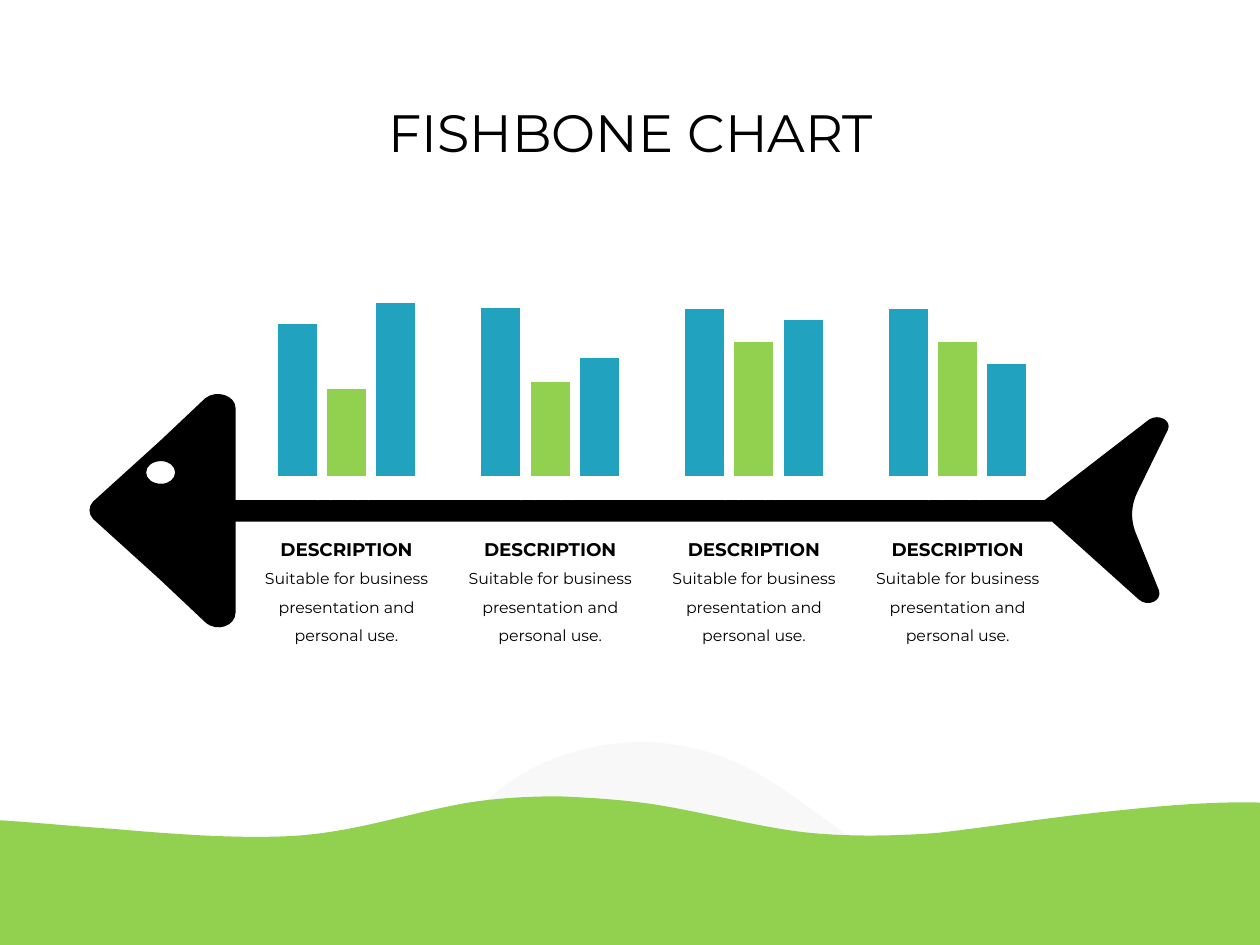
from dataclasses import dataclass

import lxml.etree
import pptx
import pptx.chart.data
import pptx.dml.color
import pptx.enum.chart
import pptx.enum.text
import pptx.oxml
import pptx.oxml.ns
import pptx.util
from pptx.util import Inches


@dataclass(frozen=True)
class Theme:
    font: str = "Montserrat"
    black: str = "000000"
    white: str = "FFFFFF"
    blue: str = "21A2BE"
    green: str = "92D050"
    gray: str = "F2F2F2"
    title_size: float = 30
    heading_size: float = 10.5
    body_size: float = 9
    chart_size: float = 10
    axis_size: float = 12


THEME = Theme()

# Outlines in inches from the corner of their box:
# a pair is a straight side, six numbers are a Bezier curve.
HILL = [[
    (5.03, 0), (5.35, -0.01, 5.69, 0.07, 5.98, 0.23),
    (6.58, 0.56, 7.11, 1.18, 7.85, 1.22), (8.32, 1.24, 8.74, 0.97, 9.2, 0.89),
    (9.48, 0.85, 9.73, 0.88, 9.93, 0.96), (10, 0.99), (10, 1.61), (0, 1.61),
    (0, 1.08), (0.01, 1.07), (0.09, 1.04, 0.18, 1.01, 0.26, 0.99),
    (0.52, 0.93, 0.79, 0.86, 1.05, 0.9), (1.27, 0.92, 1.48, 1.02, 1.69, 1.08),
    (2.22, 1.24, 2.93, 1.29, 3.37, 0.94), (3.56, 0.79, 3.7, 0.6, 3.88, 0.45),
    (4.18, 0.17, 4.6, 0.02, 5.03, 0),
]]
WAVE = [[
    (0, 1.18), (10, 1.18), (10, 0.05), (9.66, 0.04, 9.27, 0.07, 8.9, 0.11),
    (8.36, 0.16, 7.89, 0.24, 7.44, 0.29), (7.06, 0.32, 6.66, 0.32, 6.34, 0.28),
    (5.97, 0.23, 5.64, 0.14, 5.23, 0.07), (4.98, 0.03, 4.7, 0.01, 4.43, 0),
    (4.15, 0, 3.88, 0.02, 3.66, 0.06), (3.19, 0.15, 2.85, 0.27, 2.39, 0.31),
    (1.99, 0.34, 1.48, 0.31, 0.92, 0.26), (0.61, 0.24, 0.31, 0.21, 0, 0.19),
]]
FISH_BODY = [
    (0.04, 0.89), (0.57, 0.41), (0.93, 0.07),
    (1.02, 0, 1.17, 0.05, 1.17, 0.15), (1.17, 0.88), (7.59, 0.88),
    (8.42, 0.24), (8.5, 0.19, 8.6, 0.25, 8.57, 0.32), (8.33, 0.81),
    (8.28, 0.91, 8.27, 1.02, 8.31, 1.13), (8.5, 1.6),
    (8.52, 1.68, 8.41, 1.73, 8.34, 1.67), (7.65, 1.05), (1.17, 1.05),
    (1.17, 1.77), (1.17, 1.88, 1.02, 1.93, 0.93, 1.85), (0.57, 1.51),
    (0.04, 1.03), (0, 0.99, 0, 0.93, 0.04, 0.89),
]
FISH_EYE = [
    (0.58, 0.75), (0.64, 0.75, 0.69, 0.71, 0.69, 0.66),
    (0.69, 0.61, 0.64, 0.57, 0.58, 0.57), (0.51, 0.57, 0.46, 0.61, 0.46, 0.66),
    (0.46, 0.71, 0.51, 0.75, 0.58, 0.75),
]

# Values of the three bars, and the top of the hidden axis
GROUPS = [
    ((88, 50, 100), 100),
    ((100, 56, 70), 103),
    ((100, 80, 93), 103.5),
    ((100, 80, 67), 103.5),
]


def rgb(color):
    return pptx.dml.color.RGBColor.from_string(color)


def add_command(outline, name, numbers=()):
    """Append one drawing command with its points to an outline."""
    command = lxml.etree.SubElement(outline, pptx.oxml.ns.qn(f"a:{name}"))
    for x, y in zip(numbers[::2], numbers[1::2]):
        lxml.etree.SubElement(command, pptx.oxml.ns.qn("a:pt"),
                              x=str(Inches(x)), y=str(Inches(y)))


def add_outline(slide, left, top, width, height, contours, color, opacity=100):
    # The builder sets the box; the contours then replace its sides
    right, bottom = left + width, top + height
    builder = slide.shapes.build_freeform(left, top)
    builder.add_line_segments([(right, top), (right, bottom), (left, bottom)])
    shape = builder.convert_to_shape()
    outline = shape.element.find(".//" + pptx.oxml.ns.qn("a:path"))
    for side in list(outline):
        outline.remove(side)
    for start, *segments in contours:
        add_command(outline, "moveTo", start)
        for segment in segments:
            add_command(outline, "lnTo" if len(segment) == 2 else "cubicBezTo", segment)
        add_command(outline, "close")

    shape.shadow.inherit = False
    shape.fill.solid()
    shape.fill.fore_color.rgb = rgb(color)
    shape.line.fill.background()
    if opacity < 100:
        color_element = shape.element.find(".//" + pptx.oxml.ns.qn("a:srgbClr"))
        lxml.etree.SubElement(color_element, pptx.oxml.ns.qn("a:alpha"),
                              val=str(opacity * 1000))


def add_text(slide, text, left, top, width, height, *, size, bold=False,
             spacing=None, wrap=True, inset_top=Inches(0.05)):
    frame = slide.shapes.add_textbox(left, top, width, height).text_frame
    frame.word_wrap = wrap
    frame.vertical_anchor = pptx.enum.text.MSO_ANCHOR.MIDDLE
    frame.margin_top = inset_top
    paragraph = frame.paragraphs[0]
    paragraph.alignment = pptx.enum.text.PP_ALIGN.CENTER
    paragraph.line_spacing = spacing
    run = paragraph.add_run()
    run.text = text
    run.font.name = THEME.font
    run.font.size = pptx.util.Pt(size)
    run.font.bold = bold
    run.font.color.rgb = rgb(THEME.black)


def set_font(font, size, color):
    font.name = THEME.font
    font.size = pptx.util.Pt(size)
    font.color.rgb = rgb(color)


def add_bars(slide, left, top, width, height, values, axis_max):
    data = pptx.chart.data.CategoryChartData()
    data.categories = [""]
    for number, value in enumerate(values, 1):
        data.add_series(f"Series {number}", [value])
    chart = slide.shapes.add_chart(
        pptx.enum.chart.XL_CHART_TYPE.COLUMN_CLUSTERED,
        left, top, width, height, data).chart
    chart.has_legend = False
    chart.has_title = False
    set_font(chart.font, THEME.chart_size, THEME.black)

    plot = chart.plots[0]
    plot.gap_width, plot.overlap, plot.vary_by_categories = 219, -27, False
    for series, color in zip(plot.series, (THEME.blue, THEME.green, THEME.blue)):
        series.format.fill.solid()
        series.format.fill.fore_color.rgb = rgb(color)

    value_axis, category_axis = chart.value_axis, chart.category_axis
    value_axis.minimum_scale, value_axis.maximum_scale = 0, axis_max
    value_axis.has_major_gridlines = False
    value_axis.visible = False
    category_axis.major_tick_mark = pptx.enum.chart.XL_TICK_MARK.NONE
    category_axis.format.line.fill.background()
    set_font(category_axis.tick_labels.font, THEME.axis_size, THEME.white)

    # Fixed plot area, so that all groups stand on one baseline
    plot_area = chart.element.find(".//" + pptx.oxml.ns.qn("c:plotArea"))
    for layout in plot_area.findall(pptx.oxml.ns.qn("c:layout")):
        plot_area.remove(layout)
    edges = "".join(f'<c:{name} val="{share}"/>' for name, share in
                    (("x", 0.02), ("y", 0.12), ("w", 0.96), ("h", 0.74)))
    plot_area.insert(0, pptx.oxml.parse_xml(
        f'<c:layout {pptx.oxml.ns.nsdecls("c")}><c:manualLayout>'
        '<c:layoutTarget val="inner"/><c:xMode val="edge"/><c:yMode val="edge"/>'
        f'{edges}</c:manualLayout></c:layout>'))


def add_group(slide, left, top, width, values, axis_max):
    """One set of bars above the spine with its description below."""
    add_bars(slide, left, top, width, Inches(1.86), values, axis_max)
    heading_width, body_width = Inches(1.29), Inches(1.55)
    add_text(slide, "DESCRIPTION", left + (width - heading_width) // 2,
             top + Inches(2.04), heading_width, Inches(0.28),
             size=THEME.heading_size, bold=True, wrap=False)
    add_text(slide, "Suitable for business presentation and personal use.",
             left + (width - body_width) // 2, top + Inches(2.22),
             body_width, Inches(0.76), size=THEME.body_size, spacing=1.5)


def add_fishbone(slide, left, top, width):
    add_outline(slide, left, top + Inches(0.91), width, Inches(1.93),
                [FISH_BODY, FISH_EYE], THEME.black)
    pitch = Inches(4.85) / 3
    for index, (values, axis_max) in enumerate(GROUPS):
        add_group(slide, left + Inches(1.13) + round(index * pitch), top,
                  Inches(1.84), values, axis_max)


def add_landscape(slide, left, top, width, height):
    wave_drop = Inches(0.43)
    add_outline(slide, left, top, width, height, HILL, THEME.gray, opacity=50)
    add_outline(slide, left, top + wave_drop, width, height - wave_drop, WAVE, THEME.green)


def main():
    presentation = pptx.Presentation()
    presentation.slide_width, presentation.slide_height = Inches(10), Inches(7.5)
    slide = presentation.slides.add_slide(presentation.slide_layouts[6])
    add_landscape(slide, Inches(0), Inches(5.89), Inches(10), Inches(1.61))
    add_text(slide, "FISHBONE CHART", Inches(2), Inches(0.69), Inches(6.01),
             Inches(0.66), size=THEME.title_size, spacing=0.9, inset_top=Inches(0.16))
    add_fishbone(slide, Inches(0.7), Inches(2.18), Inches(8.61))
    presentation.save("out.pptx")


if __name__ == "__main__":
    main()
